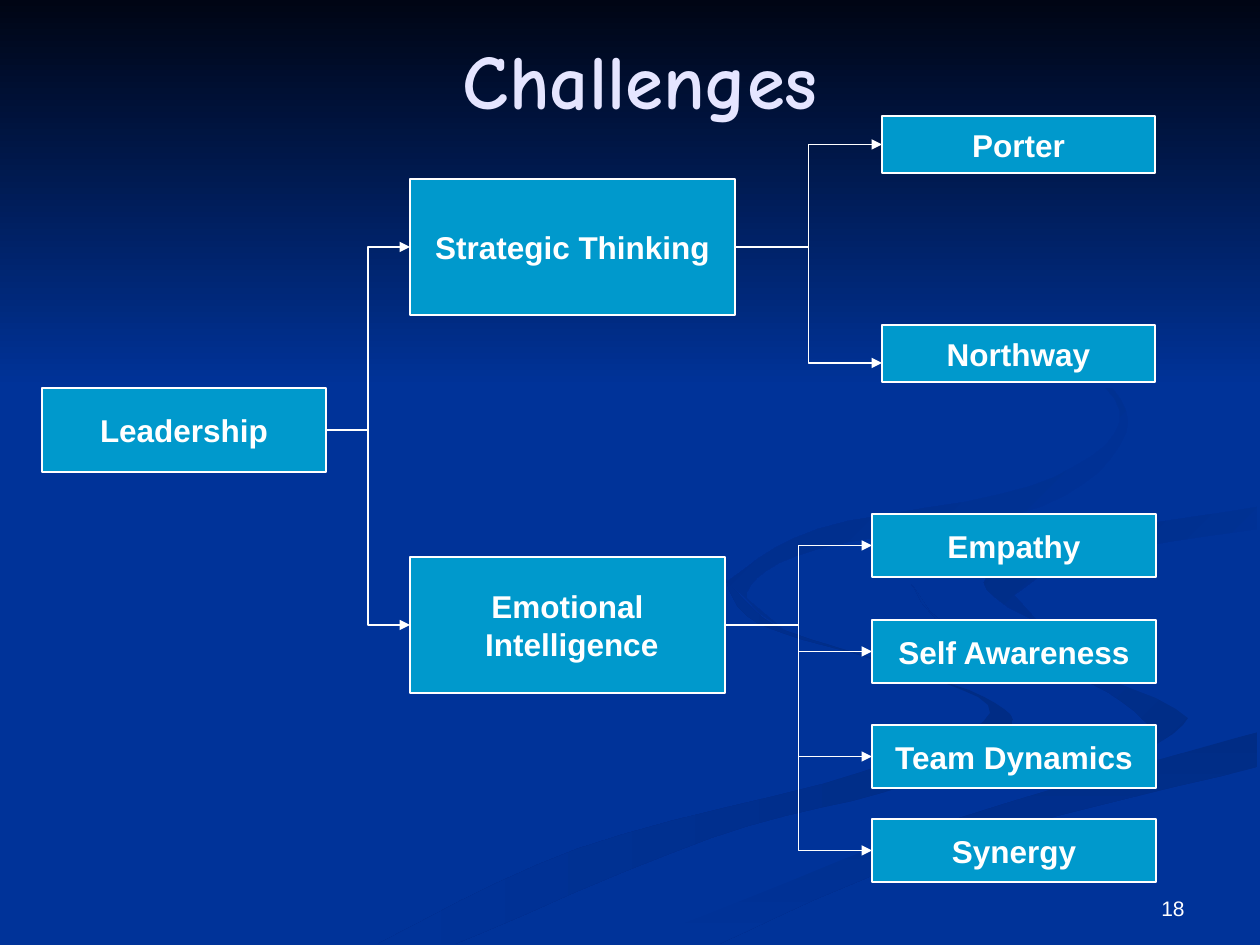
import dataclasses

import pptx
import pptx.dml.color
import pptx.enum.shapes
import pptx.enum.text
import pptx.oxml
import pptx.oxml.ns
import pptx.util

EMU_PER_PX = 914400 / 126
ALIGN = pptx.enum.text.PP_ALIGN
ANCHOR = pptx.enum.text.MSO_ANCHOR
RECTANGLE = pptx.enum.shapes.MSO_SHAPE.RECTANGLE
RIGHT_SIDE, LEFT_SIDE = 3, 1
CURVE_STEPS = 6


@dataclasses.dataclass(frozen=True)
class Theme:
    """Colours, fonts and type sizes of the slide."""
    background: str = "003399"
    shade: str = "002C85"
    night: str = "000514"
    title: str = "E5E5FF"
    box: str = "0099CC"
    light: str = "FFFFFF"
    title_font: str = "Comic Neue"
    body_font: str = "Arial"
    title_size: int = 44
    box_size: int = 18
    number_size: int = 12
    line_width: float = 0.75


THEME = Theme()

RIBBONS = [
    (THEME.shade, THEME.background, 180, [
        [(724, 578), (774, 625), (859, 654), (984, 697), (1008, 732), (908, 785),
         (711, 838), (455, 944)],
        [(378, 944), (577, 849), (862, 772), (990, 713), (900, 668), (759, 624), (724, 578)]]),
    (THEME.shade, THEME.background, 225, [
        [(912, 585), (955, 627), (1140, 680), (1188, 718), (1126, 762)],
        [(1157, 732), (1094, 685), (965, 645), (912, 585)]]),
    (THEME.shade, THEME.background, 90, [
        [(634, 944), (794, 873), (1004, 804), (1257, 732)],
        [(1257, 767), (948, 847), (719, 944)]]),
    (THEME.background, THEME.background, 0, [
        [(601, 944), (887, 825), (1124, 762), (1188, 718), (1047, 654), (914, 585),
         (1018, 525), (1259, 488)],
        [(1259, 507), (1052, 542), (984, 583), (1091, 641), (1259, 678)],
        [(1259, 732), (964, 815), (634, 944)]]),
    (THEME.background, THEME.shade, 225, [
        [(1257, 507), (1052, 542), (984, 583), (1041, 625)],
        [(1014, 595), (1082, 558), (1257, 529)]]),
    (THEME.background, THEME.shade, 225, [
        [(960, 294), (1089, 367), (1126, 433), (1040, 507), (818, 549), (747, 592), (784, 630)],
        [(727, 582), (818, 529), (1031, 486), (1120, 422), (1066, 352), (960, 294)]]),
]


def px(length):
    """Turn pixels into EMU."""
    return pptx.util.Emu(round(length * EMU_PER_PX))


def rgb(value):
    """Turn a hex string into a colour."""
    return pptx.dml.color.RGBColor.from_string(value)


def smooth_edge(knots):
    """Return points on a Catmull-Rom curve through the knots."""
    padded = [knots[0], *knots, knots[-1]]
    curve = [knots[0]]
    for before, start, end, after in zip(padded, padded[1:], padded[2:], padded[3:]):
        for step in range(1, CURVE_STEPS + 1):
            t = step / CURVE_STEPS
            curve.append(tuple(
                b + ((c - a) * t + (2 * a - 5 * b + 4 * c - d) * t ** 2
                     + (3 * b - a - 3 * c + d) * t ** 3) / 2
                for a, b, c, d in zip(before, start, end, after)))
    return curve


def fill_gradient(shape, first, last, clockwise):
    """Give a background shape a two-colour fill without line or shadow."""
    shape.shadow.inherit = False
    shape.line.fill.background()
    if first == last:
        shape.fill.solid()
        shape.fill.fore_color.rgb = rgb(first)
        return
    shape.fill.gradient()
    shape.fill.gradient_angle = 360 - clockwise
    for stop, colour in zip(shape.fill.gradient_stops, (first, last)):
        stop.color.rgb = rgb(colour)


def add_ribbon(slide, first, last, clockwise, edges):
    """Draw one curved background ribbon."""
    points = [point for edge in edges for point in smooth_edge(edge)]
    outline = slide.shapes.build_freeform(*points[0], scale=EMU_PER_PX)
    outline.add_line_segments(points[1:], close=True)
    fill_gradient(outline.convert_to_shape(), first, last, clockwise)


def add_backdrop(slide):
    """Draw the blue ground, its ribbons and the dark sky."""
    slide.background.fill.solid()
    slide.background.fill.fore_color.rgb = rgb(THEME.background)
    for ribbon in RIBBONS:
        add_ribbon(slide, *ribbon)
    sky = slide.shapes.add_shape(RECTANGLE, 0, 0, px(1260), px(388))
    fill_gradient(sky, THEME.night, THEME.background, 90)


def write(frame, lines, align, anchor, font, size, colour, bold=False):
    """Write one paragraph per line into a text frame."""
    frame.vertical_anchor = anchor
    for index, line in enumerate(lines):
        paragraph = frame.add_paragraph() if index else frame.paragraphs[0]
        paragraph.alignment = align
        run = paragraph.add_run()
        run.text = line
        run.font.name, run.font.size, run.font.bold = font, pptx.util.Pt(size), bold
        run.font.color.rgb = rgb(colour)


def add_title(slide, text):
    """Place the title above the backdrop."""
    title = slide.shapes.title
    slide.shapes.element.append(title.element)
    title.left, title.top, title.width, title.height = px(105), px(0), px(1071), px(158)
    title.text_frame.word_wrap = True
    write(title.text_frame, [text], ALIGN.CENTER, ANCHOR.MIDDLE,
          THEME.title_font, THEME.title_size, THEME.title, True)


def add_box(slide, lines, left, top, width, height):
    """Draw one labelled box of the tree."""
    box = slide.shapes.add_shape(RECTANGLE, px(left), px(top), px(width), px(height))
    box.shadow.inherit = False
    box.fill.solid()
    box.fill.fore_color.rgb = rgb(THEME.box)
    box.line.color.rgb = rgb(THEME.light)
    box.line.width = pptx.util.Pt(THEME.line_width)
    box.text_frame.word_wrap = False
    write(box.text_frame, lines, ALIGN.CENTER, ANCHOR.MIDDLE,
          THEME.body_font, THEME.box_size, THEME.light, True)
    return box


def add_branch(slide, parent, child, end_y=None):
    """Join two boxes with an elbow arrow, ending at end_y if it is given."""
    branch = slide.shapes.add_connector(
        pptx.enum.shapes.MSO_CONNECTOR.ELBOW,
        parent.left + parent.width, parent.top + parent.height // 2,
        child.left, px(end_y) if end_y else child.top + child.height // 2)
    branch.begin_connect(parent, RIGHT_SIDE)
    if end_y is None:
        branch.end_connect(child, LEFT_SIDE)
    branch.line.color.rgb = rgb(THEME.light)
    branch.line.width = pptx.util.Pt(THEME.line_width)
    properties = branch.element.spPr
    outline = properties.find(pptx.oxml.ns.qn("a:ln"))
    namespace = pptx.oxml.ns.nsdecls("a")
    outline.append(pptx.oxml.parse_xml(f'<a:tailEnd {namespace} type="triangle"/>'))
    properties.append(pptx.oxml.parse_xml(f"<a:effectLst {namespace}/>"))


def add_page_number(slide, number):
    """Write the page number at the lower right."""
    box = slide.shapes.add_textbox(px(903), px(861), px(294), px(66))
    box.text_frame.word_wrap = True
    write(box.text_frame, [number], ALIGN.RIGHT, ANCHOR.BOTTOM,
          THEME.body_font, THEME.number_size, THEME.light)


def main():
    """Build the slide and save it."""
    deck = pptx.Presentation()
    deck.slide_width, deck.slide_height = px(1260), px(945)
    slide = deck.slides.add_slide(deck.slide_layouts[5])
    add_backdrop(slide)
    add_title(slide, "Challenges")
    leadership = add_box(slide, ["Leadership"], 42, 388, 284, 84)
    strategy = add_box(slide, ["Strategic Thinking"], 410, 179, 325, 136)
    emotion = add_box(slide, ["Emotional", " Intelligence"], 410, 557, 315, 136)
    for pillar in (strategy, emotion):
        add_branch(slide, leadership, pillar)
    for label, top, end_y in (("Porter", 116, None), ("Northway", 325, 363)):
        add_branch(slide, strategy, add_box(slide, [label], 882, top, 273, 57), end_y)
    skills = {"Empathy": 514, "Self Awareness": 620, "Team Dynamics": 725, "Synergy": 819}
    for label, top in skills.items():
        add_branch(slide, emotion, add_box(slide, [label], 872, top, 284, 63))
    add_page_number(slide, "18")
    deck.save("out.pptx")


if __name__ == "__main__":
    main()
